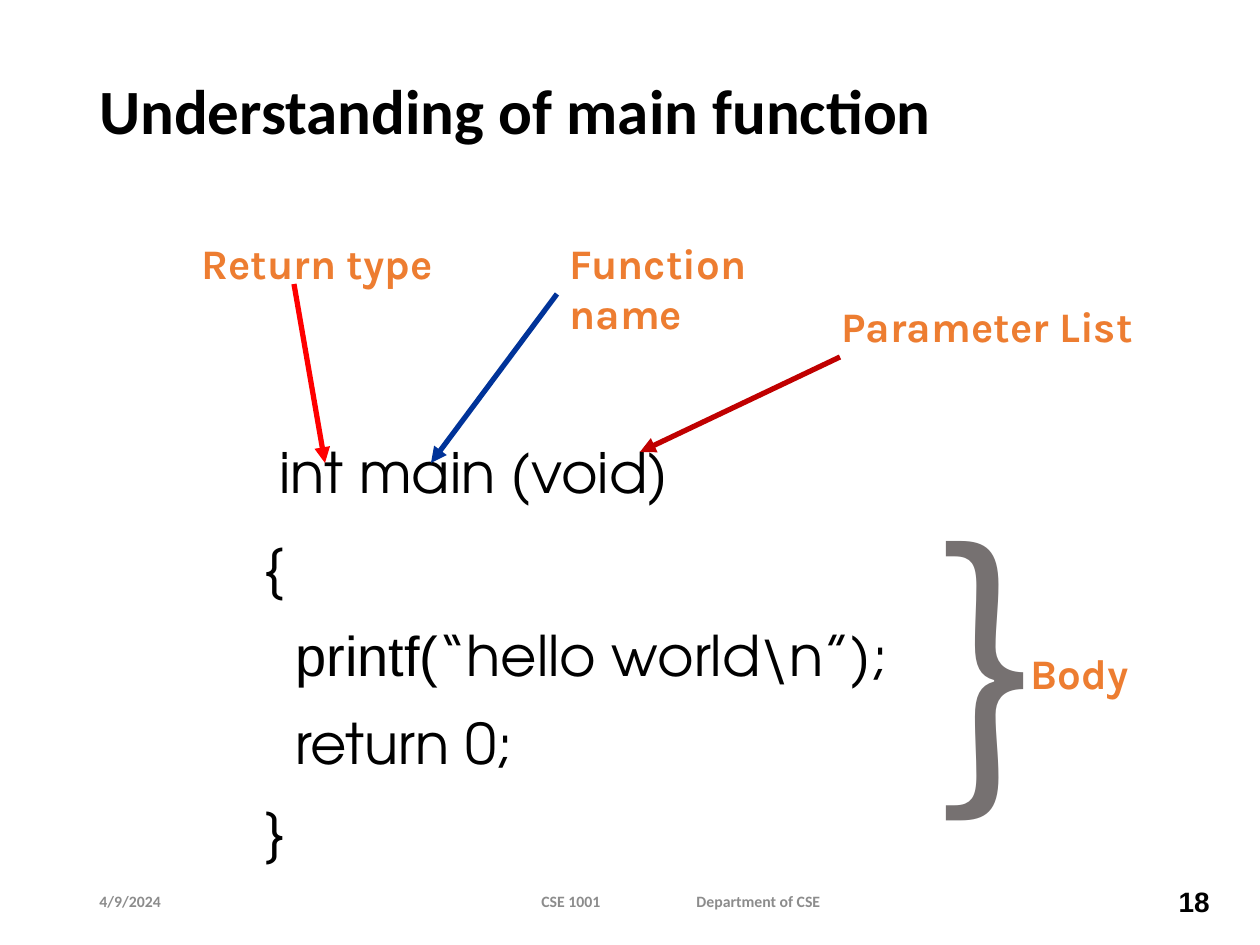
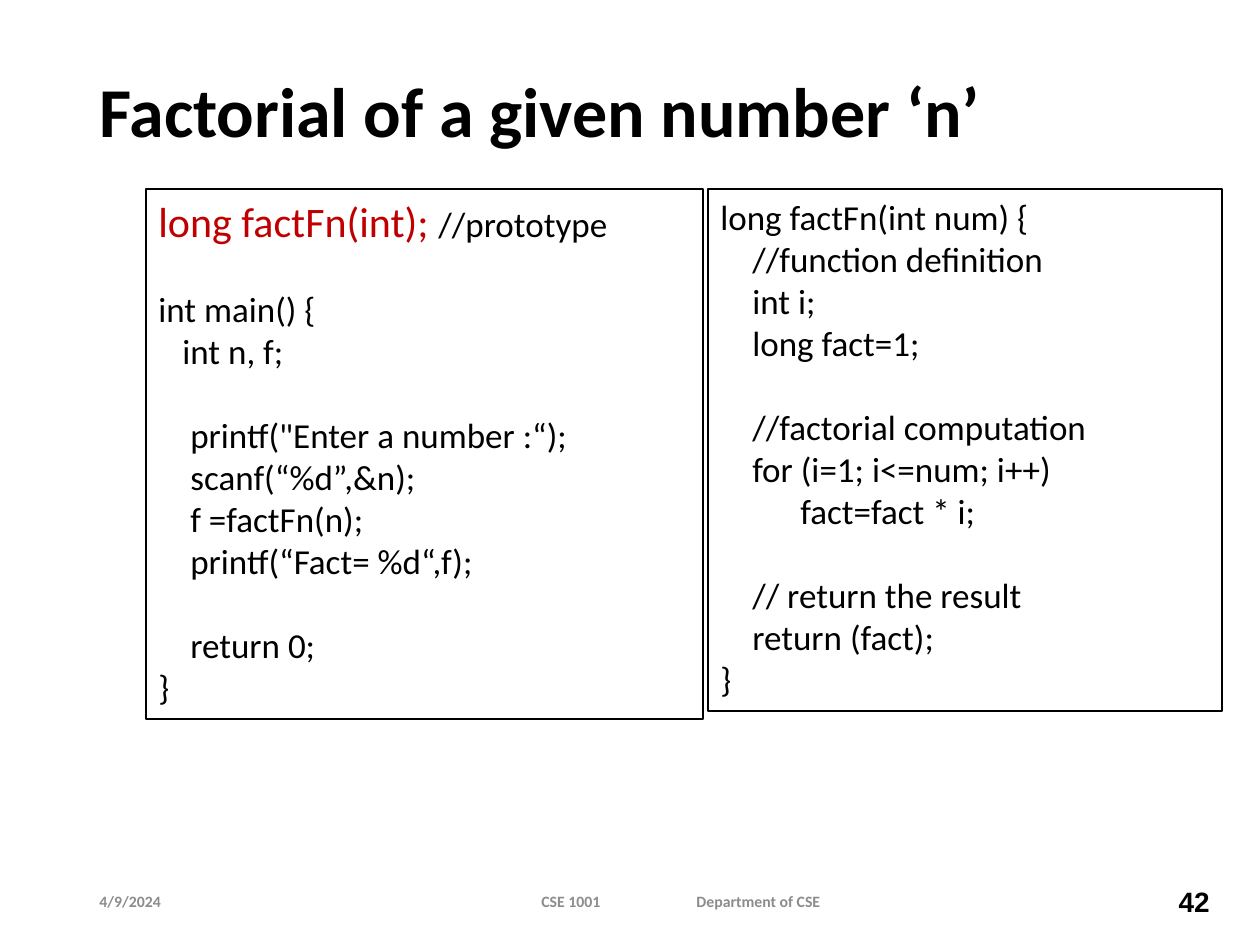
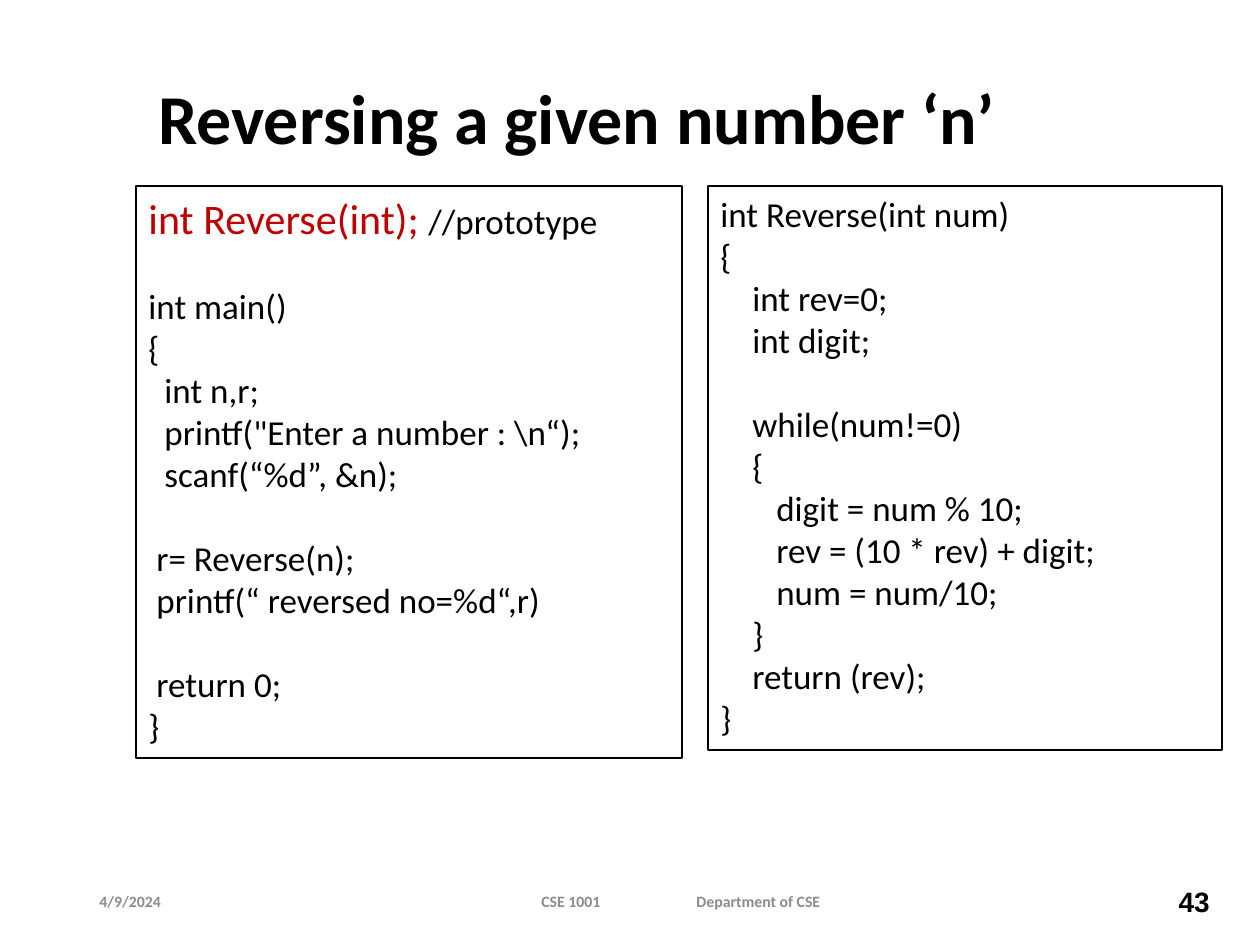
from dataclasses import dataclass

from lxml.etree import SubElement
from pptx import Presentation
from pptx.dml.color import RGBColor
from pptx.enum.shapes import MSO_CONNECTOR as Conn, MSO_SHAPE as Shape
from pptx.enum.text import MSO_ANCHOR as Anchor, PP_ALIGN as Align
from pptx.oxml.ns import qn
from pptx.util import Pt


@dataclass(frozen=True)
class Theme:
    black: str = "000000"
    grey: str = "8C8C8C"
    brace: str = "767171"
    orange: str = "ED7D31"
    red: str = "FF0000"
    blue: str = "003399"
    crimson: str = "C00000"
    body_font: str = "Calibri"
    code_font: str = "TeX Gyre Adventor"
    label_font: str = "Karla"
    plain_font: str = "Arial"
    brace_font: str = "Noto Sans CJK JP"
    title: int = 40
    small_title: int = 36
    code: int = 20
    prototype: int = 24
    label: int = 24
    big_code: int = 32
    big_brace: int = 166
    footer: int = 9
    number: int = 16


T = Theme()
SLIDE_W, SLIDE_H = 1260, 945
TITLE_BOX = (87, 71, 1137, 87)
COLUMN = 8        # width of one indent column of code
BLANK_LINE = 24   # points left open between blocks of code


def px(n):
    return round(n * 914400 / 126)


def rgb(color):
    return RGBColor.from_string(color)


# Text helpers
def add_run(p, text, size, color=T.black, font=T.body_font, bold=False):
    r = p.add_run()
    r.text = text
    f = r.font
    f.size, f.name, f.bold = Pt(size), font, bold
    f.color.rgb = rgb(color)


def add_box(s, box, anchor=Anchor.TOP):
    tf = s.shapes.add_textbox(*map(px, box)).text_frame
    tf.word_wrap = True
    tf.vertical_anchor = anchor
    return tf


def next_paragraph(tf, first, indent=0, before=0):
    p = tf.paragraphs[0] if first else tf.add_paragraph()
    p.space_before = Pt(before)
    pPr = p._p.get_or_add_pPr()
    pPr.set("marL", str(px(indent)))
    pPr.set("indent", "0")
    return p


# Parts every slide shares
def add_title(s, text, size=T.title, box=TITLE_BOX):
    p = add_box(s, box, Anchor.MIDDLE).paragraphs[0]
    p.line_spacing = 0.9
    add_run(p, text, size, bold=True)


def add_footer(s, number, box=(87, 876, 1135, 50)):
    x, y, w, h = box
    p = add_box(s, (x, y, 120, h), Anchor.MIDDLE).paragraphs[0]
    add_run(p, "4/9/2024", T.footer, T.grey, bold=True)

    # Course and department, set apart by a tab stop
    p = add_box(s, (x + 442, y, 500, h), Anchor.MIDDLE).paragraphs[0]
    tabs = SubElement(p._p.get_or_add_pPr(), qn("a:tabLst"))
    SubElement(tabs, qn("a:tab"), pos=str(px(155)), algn="l")
    add_run(p, "CSE 1001\tDepartment of CSE", T.footer, T.grey, bold=True)

    p = add_box(s, (x + w - 87, y, 87, h), Anchor.MIDDLE).paragraphs[0]
    p.alignment = Align.RIGHT
    add_run(p, str(number), T.number, font=T.plain_font, bold=True)


# Annotated main function
def add_label(s, text, box):
    p = add_box(s, box).paragraphs[0]
    add_run(p, text, T.label, T.orange, T.label_font, True)


def add_arrow(s, start, end, color):
    c = s.shapes.add_connector(Conn.STRAIGHT, *map(px, start + end))
    c.line.color.rgb = rgb(color)
    c.line.width = Pt(3)
    SubElement(c.line._get_or_add_ln(), qn("a:tailEnd"), type="triangle")
    SubElement(c._element.spPr, qn("a:effectLst"))


def add_main_code(s, box):
    lines = [
        (15, 0, [("int main (void)", T.code_font)]),
        (0, 16, [("{", T.code_font)]),
        (31, 12, [("printf(", T.plain_font),
                  (r"“hello world\n”);", T.code_font)]),
        (31, 12, [("return 0;", T.code_font)]),
        (0, 12, [("}", T.code_font)]),
    ]
    tf = add_box(s, box)
    for i, (indent, before, runs) in enumerate(lines):
        p = next_paragraph(tf, i == 0, indent, before)
        for text, font in runs:
            add_run(p, text, T.big_code, font=font)


def add_main_diagram(s, box):
    x, y, w, h = box
    add_main_code(s, (x + 63, y + 200, 714, 451))
    callouts = [
        ("Return type", (0, 0, 325, 64), (105, 53), (136, 232), T.red),
        ("Function name", (368, 0, 283, 115), (368, 63), (242, 232), T.blue),
        ("Parameter List", (640, 63, 347, 64), (651, 126), (451, 221),
         T.crimson),
    ]
    for text, (dx, dy, lw, lh), start, end, color in callouts:
        add_label(s, text, (x + dx, y + dy, lw, lh))
        add_arrow(s, (x + start[0], y + start[1]),
                  (x + end[0], y + end[1]), color)
    add_label(s, "Body", (x + 829, y + 410, 210, 64))
    p = add_box(s, (x + 735, y + 244, 116, 364)).paragraphs[0]
    add_run(p, "}", T.big_brace, T.brace, T.brace_font)


# Framed listing: lines are (indent column, text), None leaves a gap
def add_listing(s, box, lines, prototype=None):
    sp = s.shapes.add_shape(Shape.RECTANGLE, *map(px, box))
    sp.shadow.inherit = False
    sp.fill.background()
    sp.line.color.rgb = rgb(T.black)
    sp.line.width = Pt(0.75)
    tf = sp.text_frame
    tf.word_wrap = True
    tf.vertical_anchor = Anchor.TOP

    first, before = True, 0
    if prototype:
        p = next_paragraph(tf, first)
        p.alignment = Align.LEFT
        add_run(p, prototype + " ", T.prototype, T.crimson)
        add_run(p, "//prototype", T.code)
        first = False
    for line in lines:
        if line is None:
            before = BLANK_LINE
            continue
        column, text = line
        p = next_paragraph(tf, first, column * COLUMN, before)
        p.alignment = Align.LEFT
        add_run(p, text, T.code)
        first, before = False, 0


FACTORIAL_MAIN = [
    None,
    (0, "int main() {"),
    (3, "int n, f;"),
    None,
    (4, 'printf("Enter a number :“);'),
    (4, "scanf(“%d”,&n);"),
    (4, "f =factFn(n);"),
    (4, "printf(“Fact= %d“,f);"),
    None,
    (4, "return 0;"),
    (0, "}"),
]
FACTORIAL_FUNCTION = [
    (0, "long factFn(int num) {"),
    (4, "//function definition"),
    (4, "int i;"),
    (4, "long fact=1;"),
    None,
    (4, "//factorial computation"),
    (4, "for (i=1; i<=num; i++)"),
    (10, "fact=fact * i;"),
    None,
    (4, "// return the result"),
    (4, "return (fact);"),
    (0, "}"),
]
REVERSE_MAIN = [
    None,
    (0, "int main()"),
    (0, "{"),
    (2, "int n,r;"),
    (2, r'printf("Enter a number : \n“);'),
    (2, "scanf(“%d”, &n);"),
    None,
    (1, "r= Reverse(n);"),
    (1, "printf(“ reversed no=%d“,r)"),
    None,
    (1, "return 0;"),
    (0, "}"),
]
REVERSE_FUNCTION = [
    (0, "int Reverse(int num)"),
    (0, "{"),
    (4, "int rev=0;"),
    (4, "int digit;"),
    None,
    (4, "while(num!=0)"),
    (4, "{"),
    (7, "digit = num % 10;"),
    (7, "rev = (10 * rev) + digit;"),
    (7, "num = num/10;"),
    (4, "}"),
    (4, "return (rev);"),
    (0, "}"),
]


def main():
    prs = Presentation()
    prs.slide_width, prs.slide_height = px(SLIDE_W), px(SLIDE_H)

    def new_slide(number):
        s = prs.slides.add_slide(prs.slide_layouts[6])
        add_footer(s, number)
        return s

    s = new_slide(18)
    add_title(s, "Understanding of main function", T.small_title)
    add_main_diagram(s, (189, 231, 1039, 651))

    s = new_slide(42)
    add_title(s, "Factorial of a given number ‘n’")
    add_listing(s, (146, 189, 557, 530), FACTORIAL_MAIN, "long factFn(int);")
    add_listing(s, (708, 189, 514, 522), FACTORIAL_FUNCTION)

    s = new_slide(43)
    add_title(s, "Reversing a given number ‘n’", box=(146, 74, 1071, 95))
    add_listing(s, (136, 186, 546, 572), REVERSE_MAIN, "int Reverse(int);")
    add_listing(s, (708, 186, 514, 564), REVERSE_FUNCTION)

    prs.save("out.pptx")


if __name__ == "__main__":
    main()
